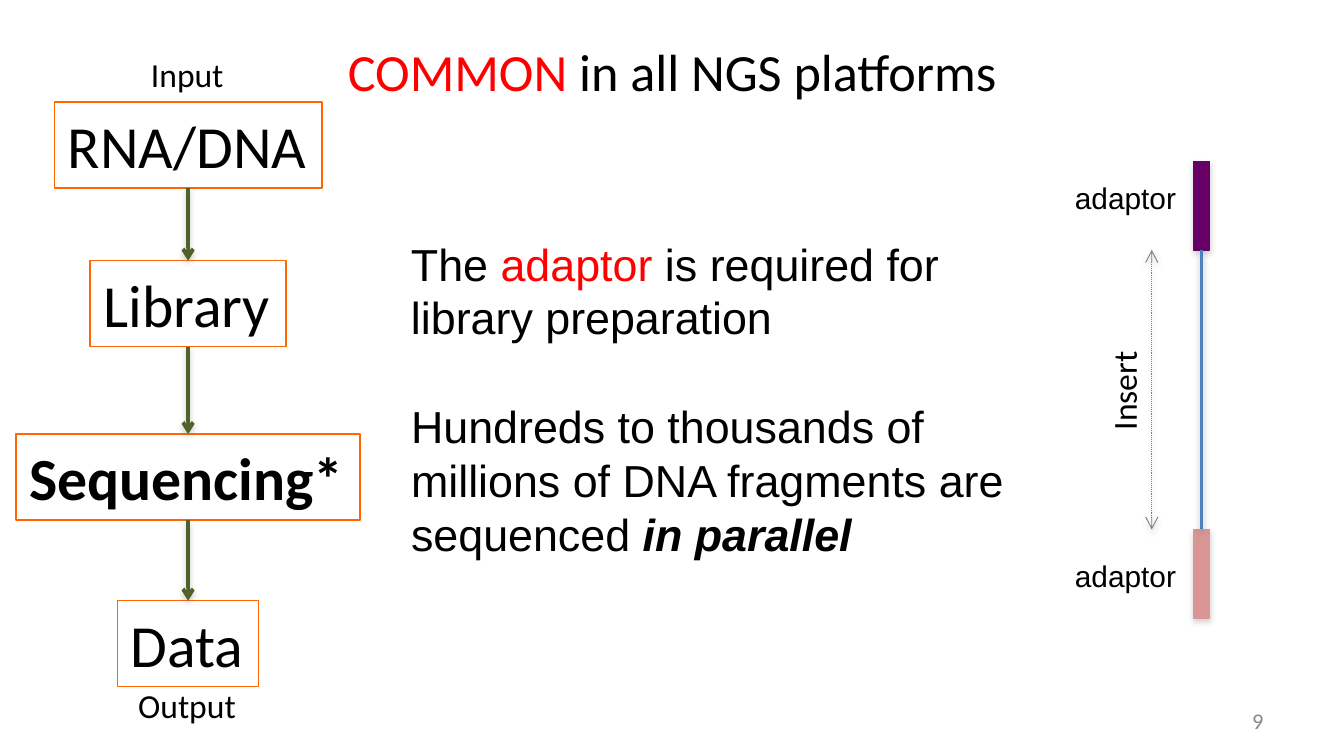
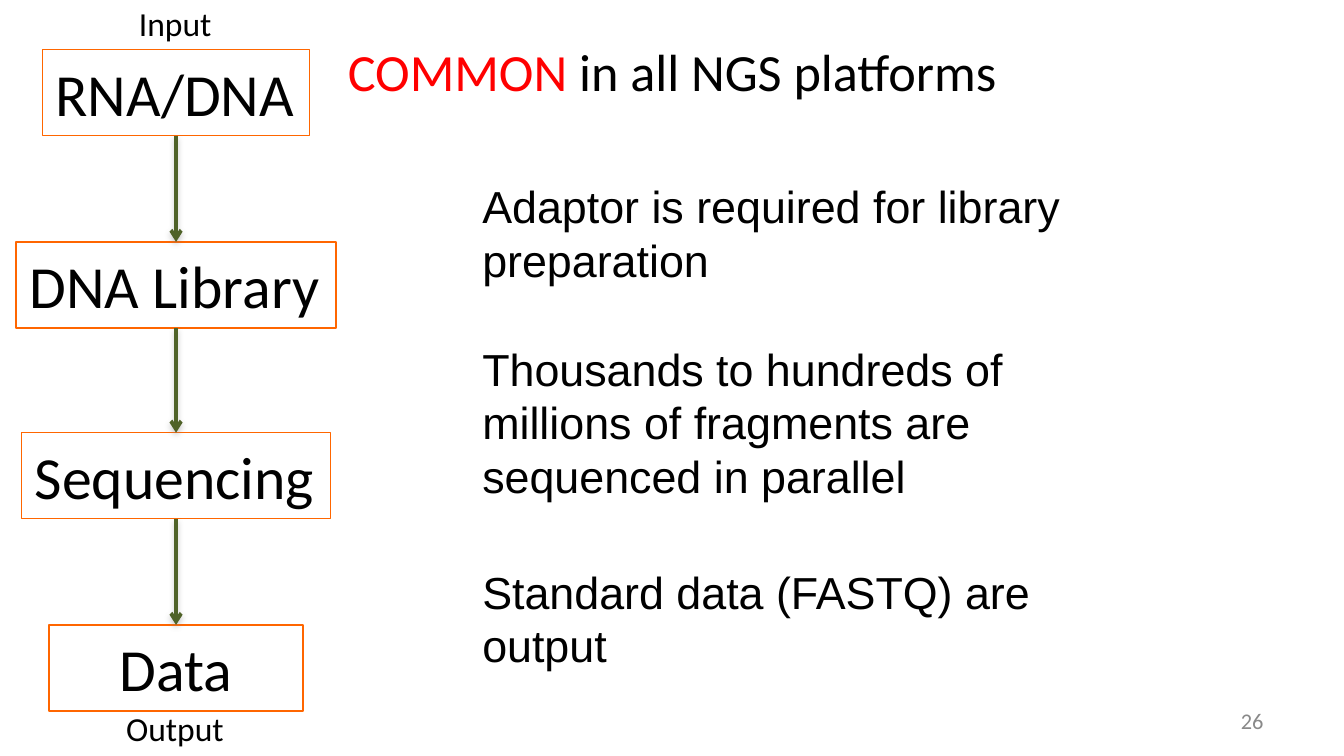
from lxml import etree
from pptx import Presentation
from pptx.dml.color import RGBColor
from pptx.enum.dml import MSO_LINE
from pptx.enum.shapes import MSO_CONNECTOR, MSO_SHAPE
from pptx.enum.text import MSO_ANCHOR, MSO_AUTO_SIZE, PP_ALIGN
from pptx.oxml.ns import qn
from pptx.util import Inches, Pt

RECT = MSO_SHAPE.RECTANGLE
LINE = MSO_CONNECTOR.STRAIGHT
DOT = MSO_LINE.ROUND_DOT
MID, TOP = MSO_ANCHOR.MIDDLE, MSO_ANCHOR.TOP
GROW, FIXED = MSO_AUTO_SIZE.SHAPE_TO_FIT_TEXT, MSO_AUTO_SIZE.NONE
LEFT, CENTER, RIGHT = PP_ALIGN.LEFT, PP_ALIGN.CENTER, PP_ALIGN.RIGHT

BLACK, RED, ORANGE, GREEN = "000000", "FF0000", "FF6600", "4F6228"
BLUE, GRAY, PALE = "4F81BD", "7F7F7F", "898989"
PURPLE, PINK = "660066", "D99694"

HEAD = [("COMMON", {"color": RED}), (" in all NGS platforms", {})]
STEP = {"name": "Calibri", "size": 32}
TAG = {"name": "Calibri", "size": 18}
NOTE = {"name": "Arial", "size": 24}
SMALL = {"name": "Arial", "size": 16}
TITLE = {"name": "Calibri", "size": 28}
PAGE = {"name": "Calibri", "size": 12, "color": PALE}
WIDE = Inches(10)
BOX_H = 0.64
CAPS = [(1.2, 1.29, PURPLE), (3.94, 4.1, PINK)]

SLIDES = [
    {
        "page": "9",
        "mid": 1.4,
        "steps": [
            ("RNA/DNA", 0.76, 1.99, {}),
            ("Library", 1.94, 1.46, {}),
            ("Sequencing*", 3.23, 2.56, {"bold": True}),
            ("Data", 4.47, 1.05, {}),
        ],
        "ends": [("Input", 0.35, 0.75), ("Output", 5.05, 0.94)],
        "notes": [
            ((2.96, 1.71, 4.54, 0.91),
             [("The ", {}), ("adaptor", {"color": RED}),
              (" is required for library preparation", {})]),
            ((2.96, 2.92, 4.82, 1.31),
             [("Hundreds to thousands of millions of DNA fragments are sequenced ", {}),
              ("in parallel", {"bold": True, "italic": True})]),
        ],
        "strand": True,
    },
    {
        "page": "26",
        "mid": 1.31,
        "steps": [
            ("RNA/DNA", 0.37, 1.99, {}),
            ("DNA Library", 1.8, 2.38, {}),
            ("Sequencing", 3.22, 2.3, {}),
            ("Data", 4.65, 1.89, {"align": CENTER}),
        ],
        "ends": [("Input", -0.03, 0.75), ("Output", 5.22, 0.94)],
        "notes": [
            ((3.49, 1.28, 4.87, 0.91),
             [("Adaptor is required for library preparation", {})]),
            ((3.49, 2.49, 4.87, 1.31),
             [("Thousands to hundreds of millions of fragments are sequenced in parallel", {})]),
            ((3.49, 4.15, 5, 0.91),
             [("Standard data (FASTQ) are output", {})]),
        ],
        "strand": False,
    },
]


def rgb(code):
    return RGBColor.from_string(code)


def place(at):
    return [Inches(n) for n in at]


def write(shape, runs, base, align=LEFT, anchor=TOP, wrap=True, size=GROW):
    frame = shape.text_frame
    frame.word_wrap, frame.auto_size = wrap, size
    frame.vertical_anchor = anchor
    para = frame.paragraphs[0]
    para.alignment = align
    for text, extra in runs:
        run = para.add_run()
        run.text = text
        look = {"color": BLACK, **base, **extra}
        run.font.color.rgb = rgb(look.pop("color"))
        look["size"] = Pt(look["size"])
        for key, value in look.items():
            setattr(run.font, key, value)


def label(host, at, runs, base, **opts):
    box = host.add_textbox(*place(at))
    write(box, runs, base, **opts)
    return box


def block(host, at, line, fill=None):
    box = host.add_shape(RECT, *place(at))
    box.shadow.inherit = False
    if fill:
        box.fill.solid()
        box.fill.fore_color.rgb = rgb(fill)
    else:
        box.fill.background()
    box.line.color.rgb = rgb(line)
    box.line.width = Pt(0.75)
    return box


def shade(shape, dist, alpha):
    props = shape.element.spPr
    glow = props.find(qn("a:effectLst"))
    if glow is None:
        glow = etree.SubElement(props, qn("a:effectLst"))
    cast = etree.SubElement(glow, qn("a:outerShdw"), blurRad=str(Pt(3.1)),
                            dist=str(Pt(dist)), dir="5400000", rotWithShape="0")
    tint = etree.SubElement(cast, qn("a:srgbClr"), val="808080")
    etree.SubElement(tint, qn("a:alpha"), val=str(alpha * 1000))


def link(host, ends, color, width, tips=(), dash=None, join=None):
    wire = host.add_connector(LINE, *place(ends))
    if join:
        wire.begin_connect(join[0], 2)
        wire.end_connect(join[1], 0)
    wire.line.color.rgb = rgb(color)
    wire.line.width = Pt(width)
    if dash:
        wire.line.dash_style = dash
    stroke = wire.element.spPr.find(qn("a:ln"))
    for tip in tips:
        etree.SubElement(stroke, qn("a:" + tip), type="arrow")
    shade(wire, 1.6, 38)


def flow(host, mid, steps, ends):
    boxes = []
    for text, top, wide, look in steps:
        look = dict(look)
        align = look.pop("align", LEFT)
        box = block(host, (mid - wide / 2, top, wide, BOX_H), ORANGE)
        write(box, [(text, look)], STEP, align=align, wrap=align == CENTER)
        boxes.append(box)
    for pair in zip(boxes, boxes[1:]):
        link(host, (0, 0, 0, 0), GREEN, 2, ["tailEnd"], join=pair)
    for text, top, wide in ends:
        label(host, (mid - wide / 2, top, wide, 0.4), [(text, {})], TAG, wrap=False)


def strand(host):
    caps = []
    for top, tag, color in CAPS:
        cap = block(host, (8.88, top, 0.12, 0.66), color, color)
        shade(cap, 1.8, 35)
        caps.append(cap)
        label(host, (7.9, tag, 0.96, 0.37), [("adaptor", {})], SMALL, wrap=False)
    link(host, (8.94, 1.86, 8.94, 3.94), BLUE, 2, join=caps)
    link(host, (8.57, 1.86, 8.57, 3.94), GRAY, 0.5, ["headEnd", "tailEnd"], DOT)
    name = label(host, (7.96, 2.7, 0.8, 0.4), [("Insert", {})], TAG, wrap=False)
    name.rotation = 270


def build(deck, data):
    slide = deck.slides.add_slide(deck.slide_layouts[5])
    host = slide.shapes
    title = host.title
    title.left, title.top, title.width, title.height = place((0.5, 0.23, 9, 0.59))
    write(title, HEAD, TITLE, align=CENTER, anchor=MID, size=FIXED)
    label(host, (7.17, 5.21, 2.33, 0.3), [(data["page"], {})], PAGE,
          align=RIGHT, anchor=MID, size=FIXED)
    for at, runs in data["notes"]:
        label(host, at, runs, NOTE)
    flow(host, data["mid"], data["steps"], data["ends"])
    if data["strand"]:
        strand(host.add_group_shape().shapes)


def main():
    deck = Presentation()
    deck.slide_width, deck.slide_height = WIDE, WIDE * 9 // 16
    for data in SLIDES:
        build(deck, data)
    deck.save("out.pptx")


if __name__ == "__main__":
    main()
